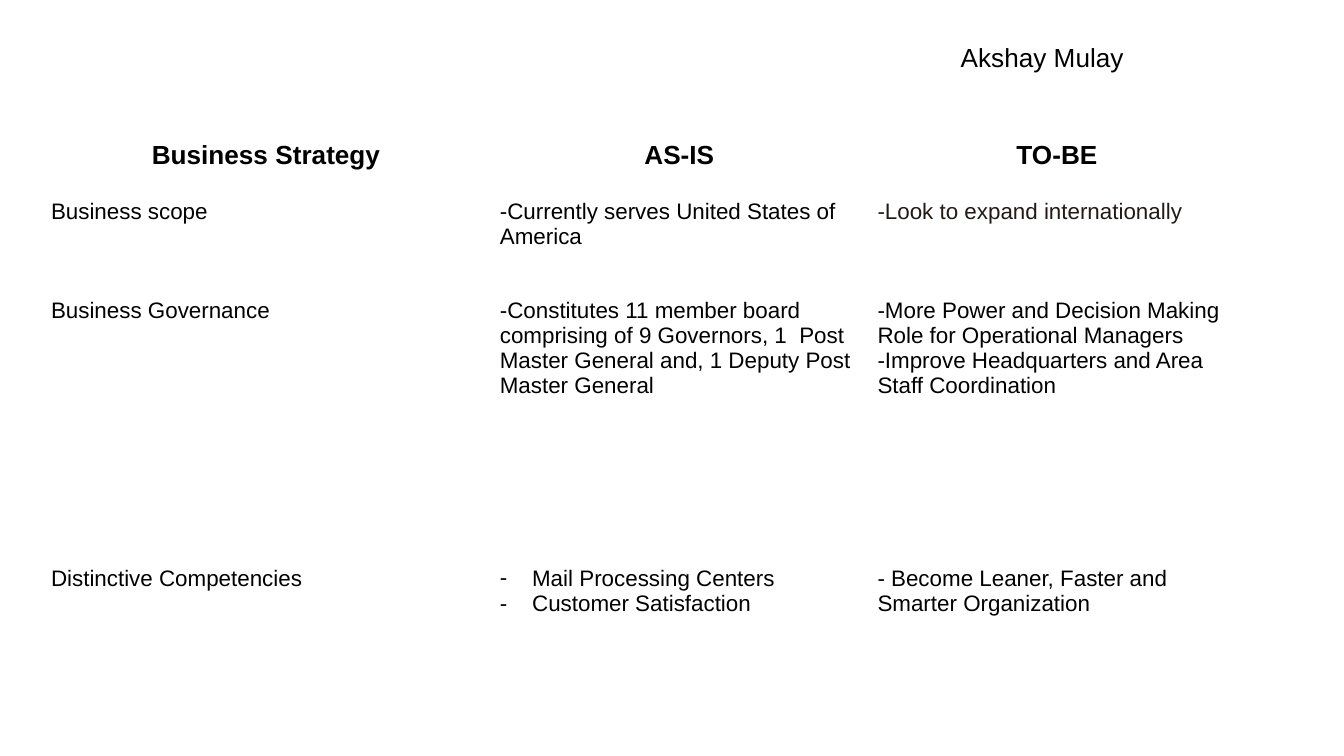
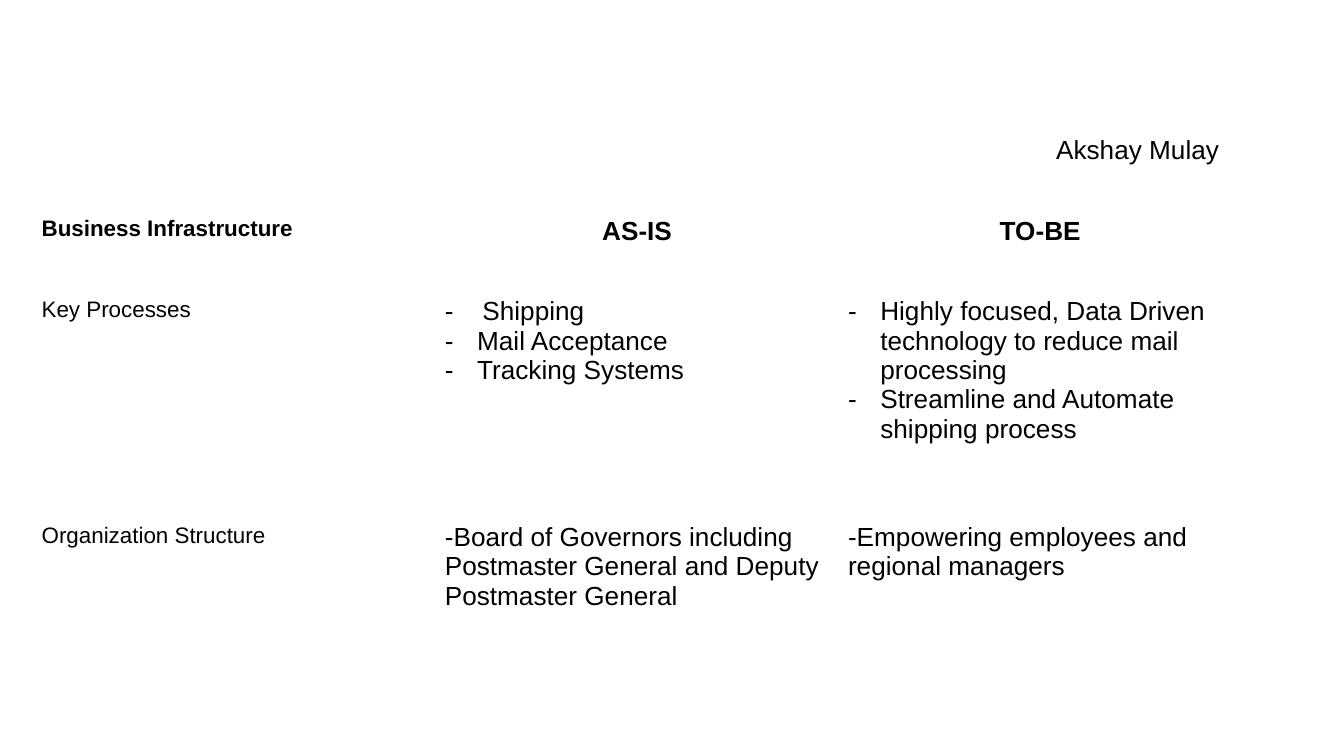
from lxml import etree
from pptx import Presentation
from pptx.dml.color import RGBColor
from pptx.enum.text import MSO_ANCHOR, PP_ALIGN
from pptx.oxml.ns import qn
from pptx.util import Inches, Pt

BLACK = RGBColor(0x00, 0x00, 0x00)
SOFT_BLACK = RGBColor(0x23, 0x19, 0x16)
CENTER, LEFT = PP_ALIGN.CENTER, PP_ALIGN.LEFT
TOP = MSO_ANCHOR.TOP

FONT = "Arial"
SMALL, LARGE = Pt(12), Pt(14)
AUTHOR = "Akshay Mulay"
BLANK_LAYOUT = 6
SIDES = ("left", "top", "right", "bottom")
CELL_MARGIN, BOX_MARGIN = Inches(0.07), Inches(0.1)
DASH_INDENT, TAB_STOP = Inches(0.24), Inches(0.28)


def cell_text(*lines, size=SMALL, bold=False, color=BLACK, align=LEFT, dashed=False):
    font = {"name": FONT, "size": size, "bold": bold}
    return {"lines": lines, "font": font, "color": color, "align": align, "dashed": dashed}


def heading(line):
    return cell_text(line, size=LARGE, bold=True, align=CENTER)


def dashes(*lines, size=SMALL):
    return cell_text(*lines, size=size, dashed=True)


def add_dash(p):
    pPr = p._p.get_or_add_pPr()
    pPr.set("marL", str(DASH_INDENT))
    pPr.set("indent", str(-DASH_INDENT))
    color = etree.SubElement(pPr, qn("a:buClr"))
    etree.SubElement(color, qn("a:srgbClr"), val=str(BLACK))
    etree.SubElement(pPr, qn("a:buFont"), typeface=FONT)
    etree.SubElement(pPr, qn("a:buChar"), char="-")


def add_tab_stop(p):
    tabs = etree.SubElement(p._p.get_or_add_pPr(), qn("a:tabLst"))
    etree.SubElement(tabs, qn("a:tab"), pos=str(TAB_STOP), algn="l")


def set_margins(target, margin):
    for side in SIDES:
        setattr(target, f"margin_{side}", margin)


def write(tf, content):
    for i, line in enumerate(content["lines"]):
        p = tf.paragraphs[0] if i == 0 else tf.add_paragraph()
        p.alignment = content["align"]
        if "\t" in line:
            add_tab_stop(p)
        elif content["dashed"]:
            add_dash(p)
        r = p.add_run()
        r.text = line
        for name, value in content["font"].items():
            setattr(r.font, name, value)
        r.font.color.rgb = content["color"]


def add_author(s, left, top):
    sp = s.shapes.add_textbox(Inches(left), Inches(top), Inches(1.93), Inches(0.31))
    tf = sp.text_frame
    tf.word_wrap = True
    set_margins(tf, BOX_MARGIN)
    write(tf, cell_text(AUTHOR, size=LARGE))


def add_comparison(s, left, top, widths, heights, rows):
    frame = s.shapes.add_table(
        len(heights), len(widths), Inches(left), Inches(top),
        Inches(sum(widths)), Inches(sum(heights)))
    table = frame.table
    table.first_row = table.horz_banding = False
    for column, width in zip(table.columns, widths):
        column.width = Inches(width)
    for row, height, contents in zip(table.rows, heights, rows):
        row.height = Inches(height)
        for cell, content in zip(row.cells, contents):
            cell.fill.background()
            cell.vertical_anchor = TOP
            set_margins(cell, CELL_MARGIN)
            write(cell.text_frame, content)


def add_strategy_slide(prs):
    s = prs.slides.add_slide(prs.slide_layouts[BLANK_LAYOUT])
    rows = [
        [heading("Business Strategy"), heading("AS-IS"), heading("TO-BE")],
        [cell_text("Business scope"),
         cell_text("-Currently serves United States of America"),
         cell_text("-Look to expand internationally", color=SOFT_BLACK)],
        [cell_text("Business Governance"),
         cell_text("-Constitutes 11 member board comprising of 9 Governors, 1  Post "
                   "Master General and, 1 Deputy Post Master General"),
         cell_text("-More Power and Decision Making Role for Operational Managers",
                   "-Improve Headquarters and Area Staff Coordination")],
        [cell_text("Distinctive Competencies"),
         dashes("Mail Processing Centers", "Customer Satisfaction"),
         cell_text("- Become Leaner, Faster and Smarter Organization")],
    ]
    add_comparison(s, 0.31, 0.98, [3.34, 2.81, 2.81], [0.43, 0.74, 1.99, 1.26], rows)
    add_author(s, 7.05, 0.21)


def add_infrastructure_slide(prs):
    s = prs.slides.add_slide(prs.slide_layouts[BLANK_LAYOUT])
    rows = [
        [cell_text("Business Infrastructure", bold=True), heading("AS-IS"), heading("TO-BE")],
        [cell_text("Key Processes"),
         dashes("-\tShipping", "Mail Acceptance", "Tracking Systems", size=LARGE),
         dashes("Highly focused, Data Driven technology to reduce mail processing",
                "Streamline and Automate shipping process", size=LARGE)],
        [cell_text("Organization Structure"),
         cell_text("-Board of Governors including Postmaster General and Deputy "
                   "Postmaster General", size=LARGE),
         cell_text("-Empowering employees and regional managers", size=LARGE)],
    ]
    add_comparison(s, 0.24, 1.54, [3] * 3, [0.6, 1.68, 1.02], rows)
    add_author(s, 7.76, 0.89)


def main():
    prs = Presentation()
    prs.slide_width = Inches(10)
    prs.slide_height = prs.slide_width * 9 // 16
    add_strategy_slide(prs)
    add_infrastructure_slide(prs)
    prs.save("out.pptx")


if __name__ == "__main__":
    main()
